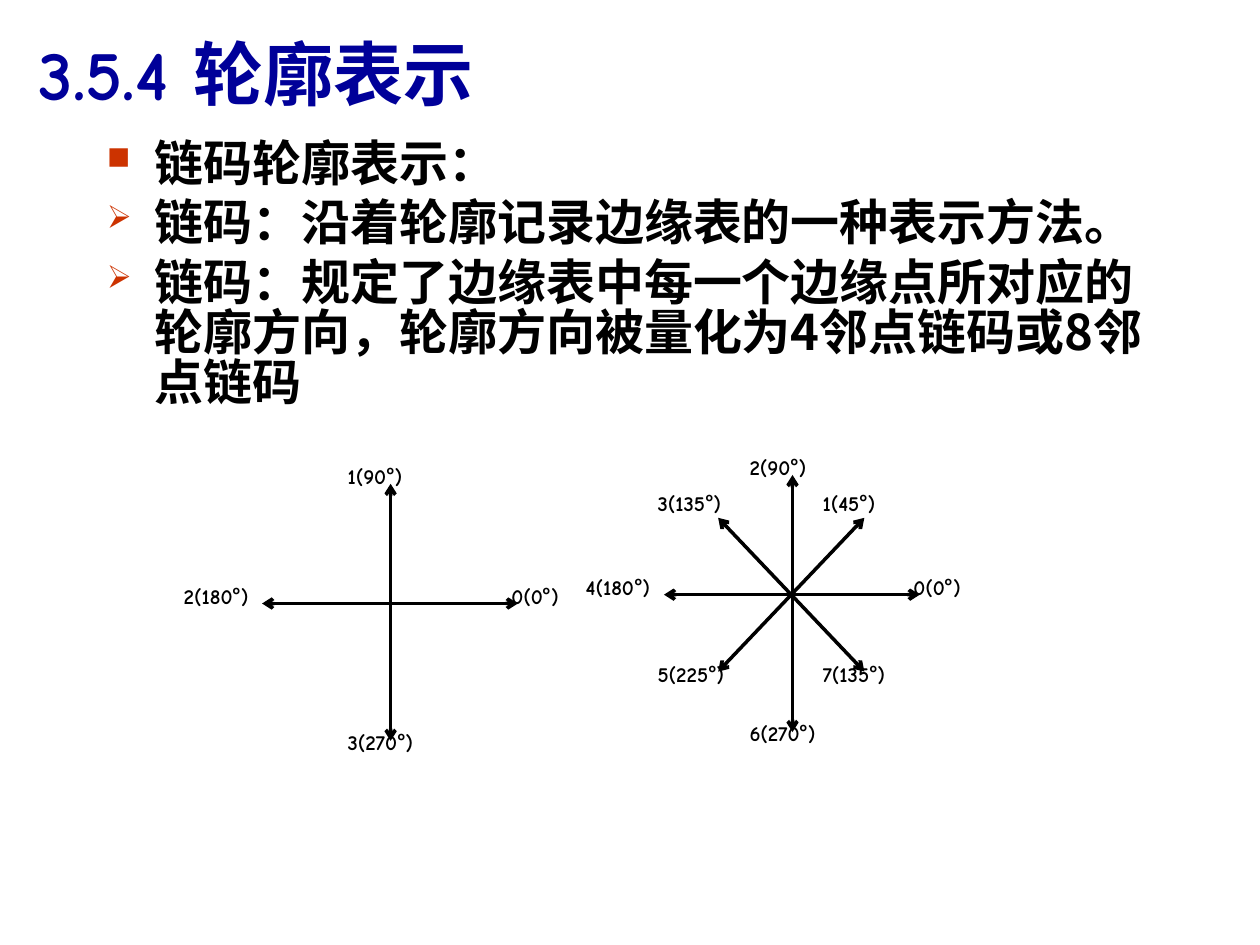
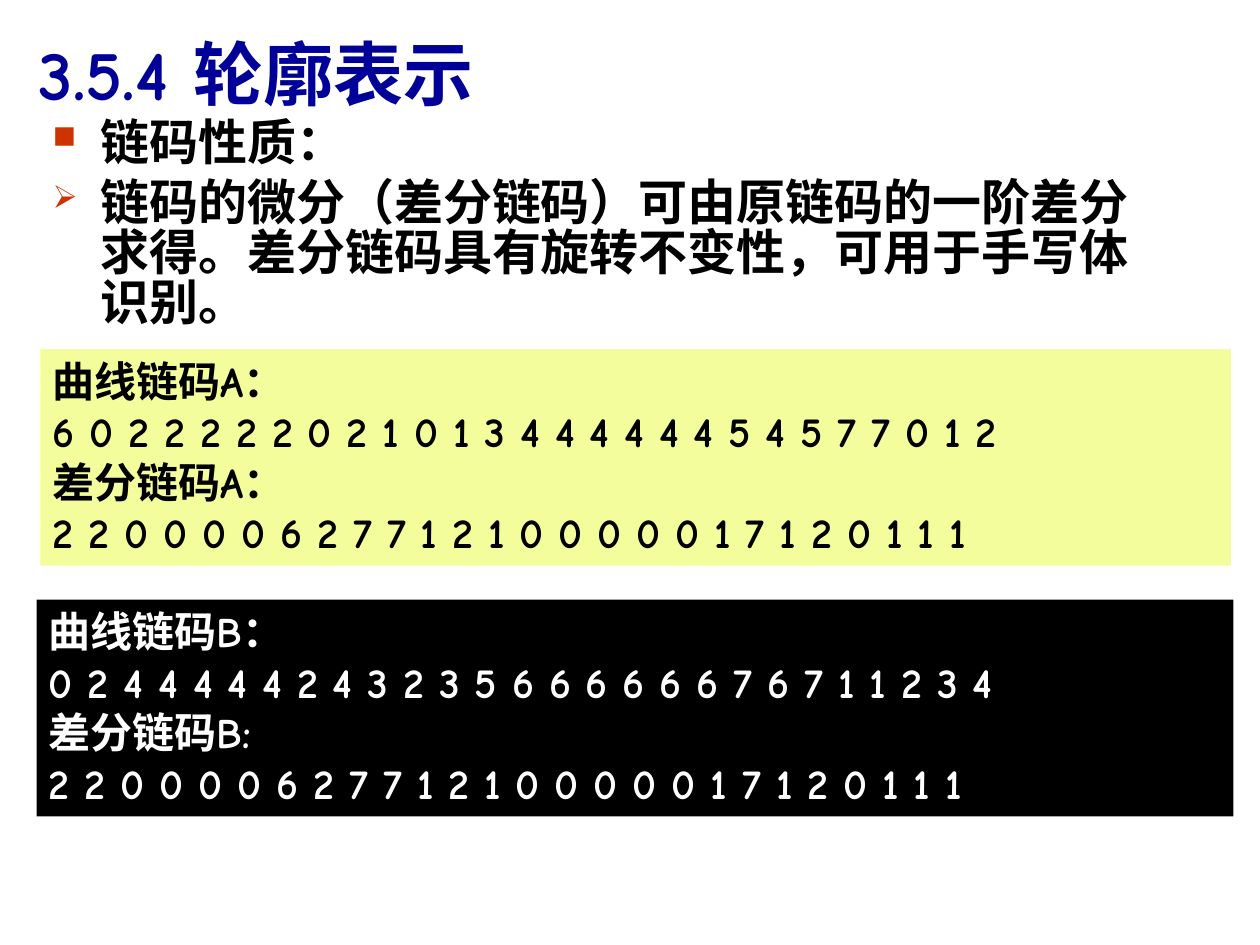
from pptx import Presentation
from pptx.dml.color import RGBColor
from pptx.enum.shapes import MSO_CONNECTOR, MSO_SHAPE
from pptx.enum.text import MSO_ANCHOR, PP_ALIGN
from pptx.oxml.ns import qn
from pptx.util import Inches, Pt
from lxml.etree import SubElement

NAVY = RGBColor(0x00, 0x00, 0x99)
BLACK = RGBColor(0x00, 0x00, 0x00)
WHITE = RGBColor(0xFF, 0xFF, 0xFF)
YELLOW = RGBColor(0xF4, 0xFD, 0x9B)
BULLET_RED = RGBColor(0xCC, 0x33, 0x00)
LATIN_FONT = "Comic Neue"
CJK_FONT = "Noto Sans CJK SC"
TITLE = "3.5.4 轮廓表示"
HEADING, POINT = "■", "➢"

# Axes and labels of a direction diagram, relative to its box
CROSS_AXES = [(0, 0.95, 2.03, 0.95), (1.02, 0, 1.02, 2.04)]
DIAGONAL_AXES = [(0.43, 0.34, 1.59, 1.56), (1.59, 0.34, 0.43, 1.56)]
CROSS_SPOTS = [(1.88, 0.74), (0.58, -0.21), (-0.72, 0.74), (0.58, 1.9)]
DIAGONAL_SPOTS = [(1.16, 0.07), (-0.15, 0.07), (-0.15, 1.43), (1.16, 1.43)]


def add_run(paragraph, text, size, color, font):
    run = paragraph.add_run()
    run.text = text
    run.font.size = Pt(size)
    run.font.bold = True
    run.font.color.rgb = color
    run.font.name = font
    SubElement(run.font._element, qn("a:ea"), typeface=CJK_FONT)


def write(paragraph, text, size=28, color=BLACK, font=LATIN_FONT):
    """Write one paragraph, with degree signs in the CJK font."""
    paragraph.alignment = PP_ALIGN.LEFT
    before, degree, after = text.partition("°")
    for part, part_font in ((before, font), (degree, CJK_FONT), (after, font)):
        if part:
            add_run(paragraph, part, size, color, part_font)


def add_lines(frame, lines, **text_format):
    frame.word_wrap = True
    frame.vertical_anchor = MSO_ANCHOR.TOP
    for number, line in enumerate(lines):
        paragraph = frame.paragraphs[0] if number == 0 else frame.add_paragraph()
        write(paragraph, line, **text_format)


def add_text(slide, lines, left, top, width, height, **text_format):
    box = slide.shapes.add_textbox(
        Inches(left), Inches(top), Inches(width), Inches(height))
    add_lines(box.text_frame, lines, **text_format)
    return box.text_frame


def add_title(slide):
    add_text(slide, [TITLE], 0.21, 0.19, 5.43, 0.77, size=40, color=NAVY)


def add_bullet(paragraph, mark):
    properties = paragraph._p.get_or_add_pPr()
    properties.set("marL", str(Inches(0.38)))
    properties.set("indent", str(-Inches(0.38)))
    color = SubElement(properties, qn("a:buClr"))
    SubElement(color, qn("a:srgbClr"), val=str(BULLET_RED))
    SubElement(properties, qn("a:buSzPct"), val="65000")
    SubElement(properties, qn("a:buChar"), char=mark)


def add_body(slide, heading, points, left, top, width, height):
    frame = add_text(slide, [heading] + points, left, top, width, height,
                     font=CJK_FONT)
    for number, paragraph in enumerate(frame.paragraphs):
        add_bullet(paragraph, POINT if number else HEADING)
        paragraph.line_spacing = 0.85
        if number:
            paragraph.space_before = Pt(5.6)


def add_axis(slide, x1, y1, x2, y2):
    axis = slide.shapes.add_connector(
        MSO_CONNECTOR.STRAIGHT, Inches(x1), Inches(y1), Inches(x2), Inches(y2))
    axis.line.color.rgb = BLACK
    axis.line.width = Pt(2)
    line = axis.line._get_or_add_ln()
    for end in ("a:headEnd", "a:tailEnd"):
        SubElement(line, qn(end), type="arrow")
    SubElement(axis._element.spPr, qn("a:effectLst"))


def add_directions(slide, left, top, axes, labels, spots):
    for x1, y1, x2, y2 in axes:
        add_axis(slide, left + x1, top + y1, left + x2, top + y2)
    for label, (x, y) in zip(labels, spots):
        add_text(slide, [label], left + x, top + y, 1.01, 0.45, size=12)


def add_code_panel(slide, lines, left, top, width, height, fill, color):
    panel = slide.shapes.add_shape(
        MSO_SHAPE.RECTANGLE, Inches(left), Inches(top),
        Inches(width), Inches(height))
    panel.shadow.inherit = False
    panel.fill.solid()
    panel.fill.fore_color.rgb = fill
    panel.line.fill.background()
    add_lines(panel.text_frame, lines, size=24, color=color)


def build_chain_code_slide(slide):
    add_body(slide, "链码轮廓表示：", [
        "链码：沿着轮廓记录边缘表的一种表示方法。",
        "链码：规定了边缘表中每一个边缘点所对应的轮廓方向，"
        "轮廓方向被量化为4邻点链码或8邻点链码",
    ], 0.75, 1.07, 8.58, 5.59)
    # Four-neighbour and eight-neighbour codes
    add_directions(slide, 2.08, 3.84, CROSS_AXES,
                   ["0(0°)", "1(90°)", "2(180°)", "3(270°)"], CROSS_SPOTS)
    add_directions(slide, 5.27, 3.77, CROSS_AXES + DIAGONAL_AXES,
                   ["0(0°)", "2(90°)", "4(180°)", "6(270°)",
                    "1(45°)", "3(135°)", "5(225°)", "7(135°)"],
                   CROSS_SPOTS + DIAGONAL_SPOTS)
    add_title(slide)


def build_properties_slide(slide):
    add_body(slide, "链码性质：", [
        "链码的微分（差分链码）可由原链码的一阶差分求得。"
        "差分链码具有旋转不变性，可用于手写体识别。",
    ], 0.32, 0.91, 8.98, 2.76)
    # Both curves share one difference code
    difference = "2 2 0 0 0 0 6 2 7 7 1 2 1 0 0 0 0 0 1 7 1 2 0 1 1 1"
    add_code_panel(slide, [
        "曲线链码B：", "0 2 4 4 4 4 4 2 4 3 2 3 5 6 6 6 6 6 6 7 6 7 1 1 2 3 4",
        "差分链码B:", difference,
    ], 0.29, 4.76, 9.5, 1.72, fill=BLACK, color=WHITE)
    add_code_panel(slide, [
        "曲线链码A：", "6 0 2 2 2 2 2 0 2 1 0 1 3 4 4 4 4 4 4 5 4 5 7 7 0 1 2",
        "差分链码A：", difference,
    ], 0.32, 2.77, 9.45, 1.72, fill=YELLOW, color=BLACK)
    add_title(slide)


def main():
    deck = Presentation()
    deck.slide_width, deck.slide_height = Inches(10), Inches(7.5)
    for build in (build_chain_code_slide, build_properties_slide):
        build(deck.slides.add_slide(deck.slide_layouts[6]))
    deck.save("out.pptx")


if __name__ == "__main__":
    main()
